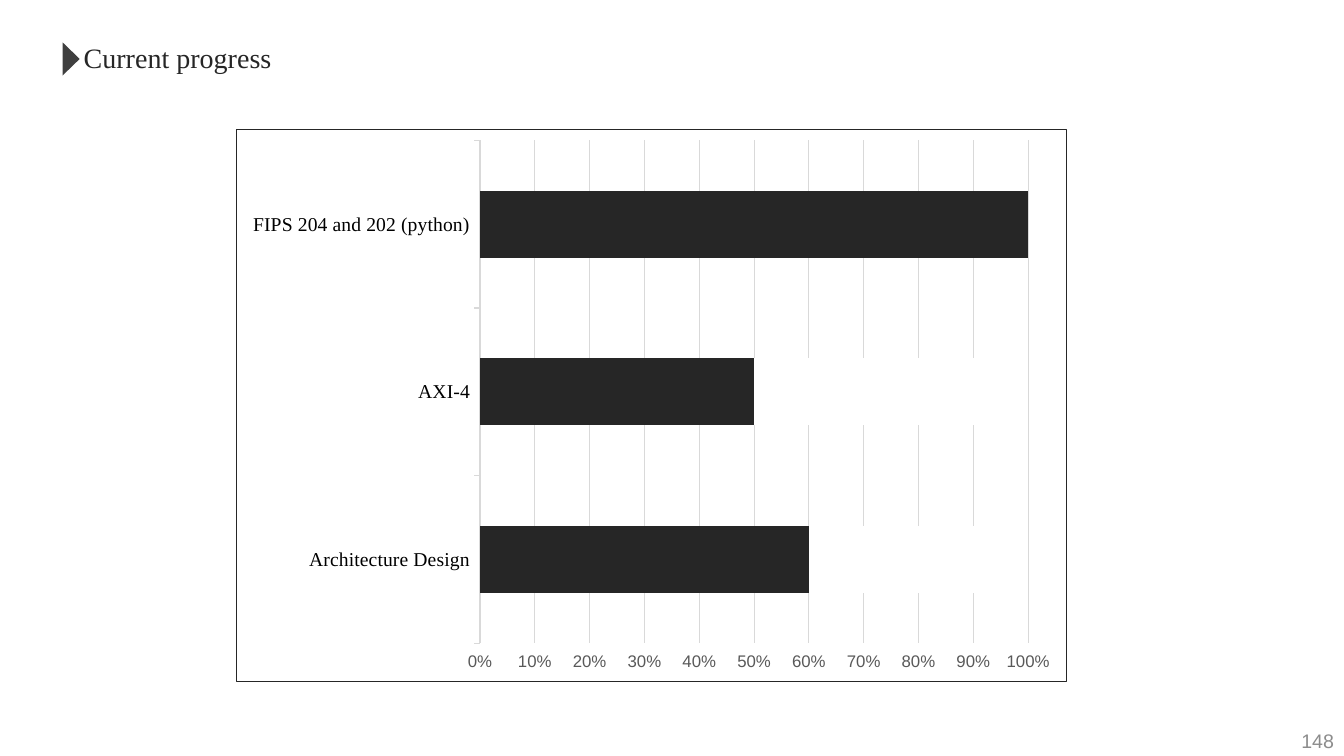
from lxml import etree
from pptx import Presentation
from pptx.chart.data import CategoryChartData
from pptx.dml.color import RGBColor
from pptx.enum.chart import XL_CHART_TYPE, XL_TICK_MARK
from pptx.enum.shapes import MSO_SHAPE
from pptx.enum.text import MSO_ANCHOR, PP_ALIGN
from pptx.oxml import parse_xml
from pptx.util import Inches, Pt

BAR_STACKED_100 = XL_CHART_TYPE.BAR_STACKED_100
TICK_OUTSIDE = XL_TICK_MARK.OUTSIDE
TRIANGLE = MSO_SHAPE.ISOSCELES_TRIANGLE
TOP, MIDDLE = MSO_ANCHOR.TOP, MSO_ANCHOR.MIDDLE
LEFT, RIGHT = PP_ALIGN.LEFT, PP_ALIGN.RIGHT

TITLE_ONLY = 5
SERIF, SANS = "Times New Roman", "Arial"
DARK, GREY, WHITE, RULE = "262626", "3F3F3F", "FFFFFF", "D9D9D9"

TASKS = ["Architecture Design", "AXI-4", "FIPS 204 and 202 (python)"]
PROGRESS = [
    ("Series 1", [60, 50, 100], DARK),
    ("Series 2", [40, 50, 0], WHITE),
    ("Series 3", [None, None, None], DARK),
]


def color(hex_string):
    return RGBColor.from_string(hex_string)


def style_font(font, name, size, hex_string):
    font.name = name
    font.size = Pt(size)
    font.bold = False
    font.color.rgb = color(hex_string)


def style_line(line, hex_string):
    line.color.rgb = color(hex_string)
    line.width = Pt(0.75)


def place(shape, left, top, width, height):
    shape.left, shape.top = Inches(left), Inches(top)
    shape.width, shape.height = Inches(width), Inches(height)


def write(shape, text, font_name, size, hex_string, alignment, anchor, wrap):
    frame = shape.text_frame
    frame.text = text
    frame.word_wrap = wrap
    frame.vertical_anchor = anchor
    paragraph = frame.paragraphs[0]
    paragraph.alignment = alignment
    style_font(paragraph.runs[0].font, font_name, size, hex_string)


def add_title(slide, text):
    title = slide.shapes.title
    place(title, 0.73, 0.35, 2.08, 0.44)
    write(title, text, SERIF, 20, DARK, LEFT, TOP, False)


def add_title_marker(slide):
    marker = slide.shapes.add_shape(
        TRIANGLE, Inches(0.54), Inches(0.5), Inches(0.33), Inches(0.17))
    marker.rotation = 90
    marker.shadow.inherit = False
    marker.fill.solid()
    marker.fill.fore_color.rgb = color(GREY)
    marker.line.fill.background()


def add_chart_border(chart, hex_string):
    """Give the whole chart area an outline and no fill."""
    namespace = "http://schemas.openxmlformats.org/drawingml/2006/"
    border = parse_xml(
        f'<c:spPr xmlns:c="{namespace}chart" xmlns:a="{namespace}main">'
        f'<a:noFill/><a:ln w="{Pt(0.75)}"><a:solidFill>'
        f'<a:srgbClr val="{hex_string}"/></a:solidFill></a:ln></c:spPr>')
    chart_element = chart.element.find(etree.QName(namespace + "chart", "chart"))
    chart_element.addnext(border)


def style_axes(chart):
    tasks, percent = chart.category_axis, chart.value_axis
    tasks.major_tick_mark = percent.major_tick_mark = TICK_OUTSIDE
    style_font(tasks.tick_labels.font, SERIF, 14, "000000")
    style_line(tasks.format.line, RULE)

    percent.minimum_scale, percent.maximum_scale = 0, 1
    percent.major_unit = 0.1
    percent.tick_labels.number_format = "0%"
    percent.tick_labels.number_format_is_linked = False
    style_font(percent.tick_labels.font, SANS, 12, "595959")
    percent.format.line.fill.background()
    percent.has_major_gridlines = True
    style_line(percent.major_gridlines.format.line, RULE)


def add_progress_chart(slide):
    data = CategoryChartData()
    data.categories = TASKS
    for name, values, _ in PROGRESS:
        data.add_series(name, values)
    chart = slide.shapes.add_chart(
        BAR_STACKED_100, Inches(2.34), Inches(1.28),
        Inches(8.24), Inches(5.49), data).chart
    chart.has_title = False
    chart.has_legend = False
    style_font(chart.font, SANS, 10, "000000")
    add_chart_border(chart, DARK)

    plot = chart.plots[0]
    plot.gap_width = 150
    plot.overlap = 100
    plot.vary_by_categories = False
    for series, (_, _, fill) in zip(plot.series, PROGRESS):
        series.invert_if_negative = False
        series.format.fill.solid()
        series.format.fill.fore_color.rgb = color(fill)
    style_axes(chart)


def add_page_number(slide, number):
    box = slide.shapes.add_textbox(
        Inches(10.33), Inches(7.15), Inches(3), Inches(0.4))
    write(box, number, SANS, 14, "8C8C8C", RIGHT, MIDDLE, True)


def main():
    presentation = Presentation()
    presentation.slide_width = Inches(13.33)
    presentation.slide_height = Inches(7.5)
    slide = presentation.slides.add_slide(presentation.slide_layouts[TITLE_ONLY])
    add_title(slide, "Current progress")
    add_title_marker(slide)
    add_progress_chart(slide)
    add_page_number(slide, "148")
    presentation.save("out.pptx")


if __name__ == "__main__":
    main()
